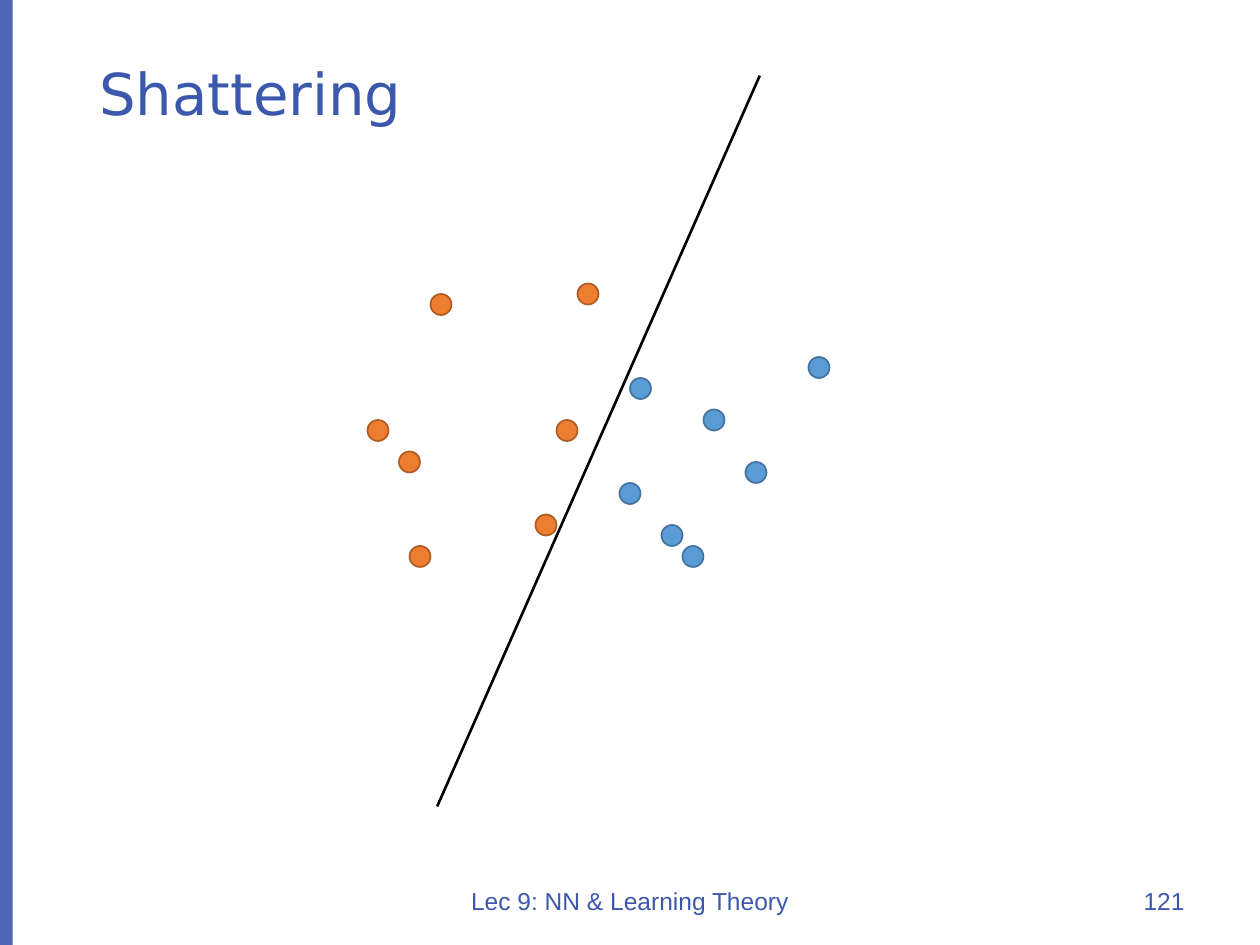
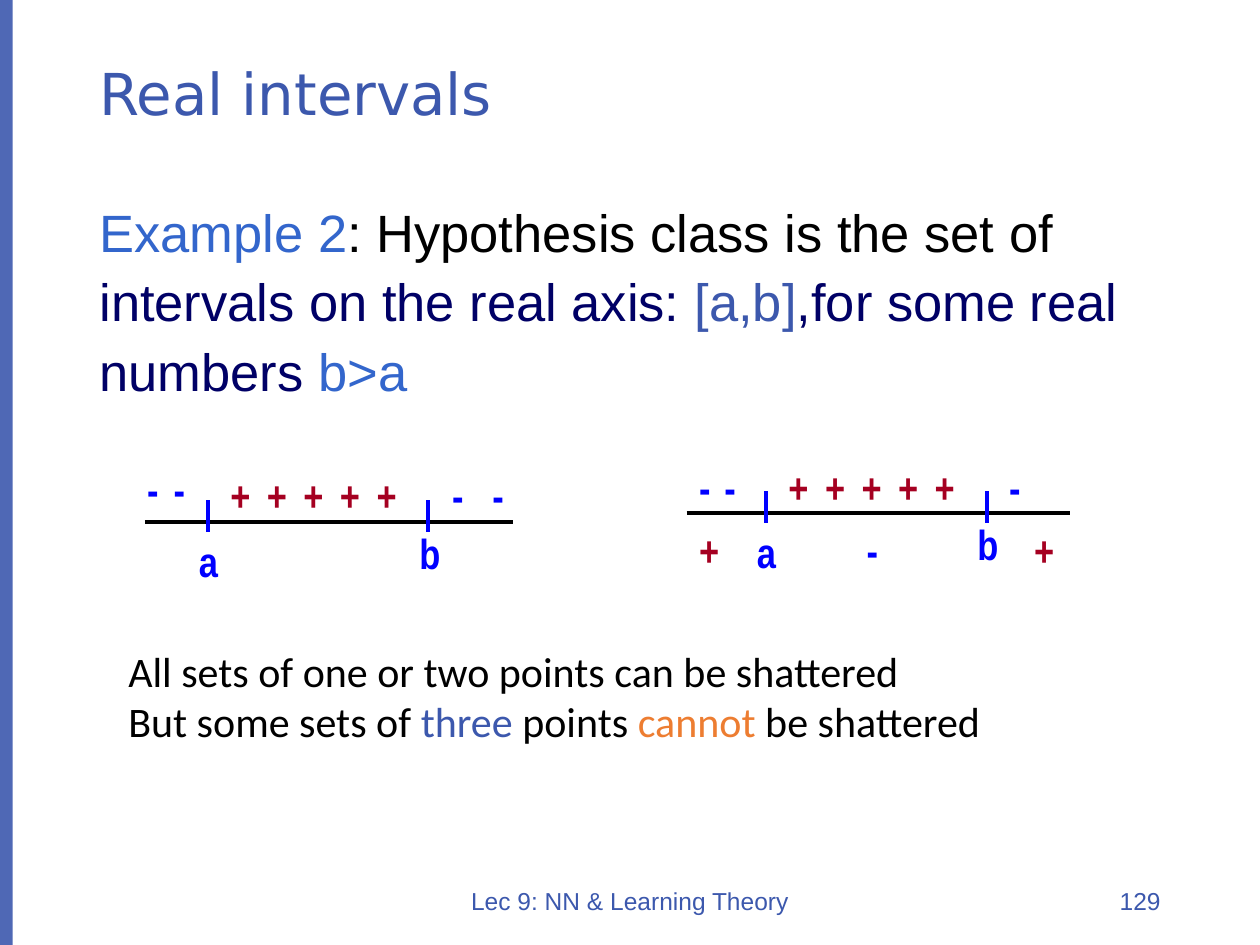
"""Builds two lecture slides on shattering and real intervals."""
from dataclasses import dataclass

from lxml import etree
from pptx import Presentation
from pptx.dml.color import RGBColor
from pptx.enum.shapes import MSO_CONNECTOR, MSO_SHAPE
from pptx.enum.text import MSO_ANCHOR, MSO_AUTO_SIZE, PP_ALIGN
from pptx.oxml.ns import qn
from pptx.util import Inches, Pt

STRAIGHT = MSO_CONNECTOR.STRAIGHT
RECTANGLE, OVAL = MSO_SHAPE.RECTANGLE, MSO_SHAPE.OVAL
TOP, MIDDLE = MSO_ANCHOR.TOP, MSO_ANCHOR.MIDDLE
GROW, FIXED = MSO_AUTO_SIZE.SHAPE_TO_FIT_TEXT, MSO_AUTO_SIZE.NONE
LEFT, CENTER, RIGHT = PP_ALIGN.LEFT, PP_ALIGN.CENTER, PP_ALIGN.RIGHT


@dataclass(frozen=True)
class Theme:
    """Colours, fonts and type sizes of the lecture."""
    accent: str = "3C58AD"
    black: str = "000000"
    example: str = "3366CC"
    navy: str = "000066"
    negative: str = "0000FF"
    positive: str = "A50021"
    orange: str = "ED7D31"
    orange_edge: str = "AF5C24"
    blue: str = "5B9BD5"
    blue_edge: str = "43739E"
    title_font: str = "DejaVu Sans"
    body_font: str = "Arial"
    mark_font: str = "Arial Narrow"
    note_font: str = "Calibri"
    title_size: int = 33
    body_size: int = 30
    mark_size: int = 24
    note_size: int = 24
    footer_size: int = 14


THEME = Theme()
GRID = 1 / 12
ORANGE_POINTS = [(39, 52), (41, 28), (38, 43), (35, 40), (51, 49), (53, 40), (55, 27)]
BLUE_POINTS = [(77, 34), (60, 36), (71, 44), (59, 46), (67, 39), (63, 50), (65, 52)]


class Deck:
    """Holds the presentation, its theme and the current slide."""

    def __init__(self, theme):
        """Open a 4:3 presentation."""
        self.theme = theme
        self.presentation = Presentation()
        self.presentation.slide_width = Inches(10)
        self.presentation.slide_height = Inches(7.5)
        self.slide = None

    def add_slide(self, title, number, number_left):
        """Start a slide with its side band, title and footer."""
        theme = self.theme
        layout = self.presentation.slide_layouts[6]
        self.slide = self.presentation.slides.add_slide(layout)
        self.shape(RECTANGLE, 0, 0, 0.1, 7.5, theme.accent, opacity=90)
        self.text((0.69, 0.4, 8.62, 0.74), [[(title, theme.accent)]],
                  theme.title_font, theme.title_size,
                  frame_format={"vertical_anchor": MIDDLE},
                  paragraph_format={"line_spacing": 0.9})
        footers = [("Lec 9: NN & Learning Theory", 3.31, 3.38, CENTER),
                   (number, number_left, 2.25, RIGHT)]
        for words, left, width, alignment in footers:
            self.text((left, 6.95, width, 0.4), [[(words, theme.accent)]],
                      theme.body_font, theme.footer_size,
                      frame_format={"vertical_anchor": MIDDLE},
                      paragraph_format={"alignment": alignment})

    def shape(self, kind, left, top, width, height, fill, edge=None, opacity=None):
        """Add a filled shape with an optional edge and opacity."""
        shape = self.slide.shapes.add_shape(
            kind, Inches(left), Inches(top), Inches(width), Inches(height))
        shape.shadow.inherit = False
        shape.fill.solid()
        shape.fill.fore_color.rgb = RGBColor.from_string(fill)
        if edge:
            shape.line.color.rgb = RGBColor.from_string(edge)
            shape.line.width = Pt(1)
        else:
            shape.line.fill.background()
        if opacity:
            color = shape.fill._xPr.find(".//" + qn("a:srgbClr"))
            etree.SubElement(color, qn("a:alpha"), val=str(opacity * 1000))

    def line(self, start, end, color, width):
        """Add a straight line between two points."""
        connector = self.slide.shapes.add_connector(
            STRAIGHT, *(Inches(value) for value in (*start, *end)))
        connector.line.color.rgb = RGBColor.from_string(color)
        connector.line.width = Pt(width)
        etree.SubElement(connector._element.spPr, qn("a:effectLst"))

    def text(self, box, paragraphs, font, size, bold=False,
             frame_format=None, paragraph_format=None):
        """Add a text box from paragraphs of (words, colour) runs."""
        shape = self.slide.shapes.add_textbox(*(Inches(value) for value in box))
        frame = shape.text_frame
        frame_values = {"word_wrap": True, "auto_size": FIXED,
                        "vertical_anchor": TOP, **(frame_format or {})}
        for name, value in frame_values.items():
            setattr(frame, name, value)
        paragraph_values = {"alignment": LEFT, **(paragraph_format or {})}
        font_values = {"name": font, "size": Pt(size), "bold": bold}
        for index, runs in enumerate(paragraphs):
            paragraph = frame.add_paragraph() if index else frame.paragraphs[0]
            for name, value in paragraph_values.items():
                setattr(paragraph, name, value)
            for words, color in runs:
                run = paragraph.add_run()
                run.text = words
                for name, value in font_values.items():
                    setattr(run.font, name, value)
                run.font.color.rgb = RGBColor.from_string(color)

    def mark(self, symbol, left, top):
        """Add one bold sign or letter of a number line."""
        theme = self.theme
        color = theme.positive if symbol == "+" else theme.negative
        width = {"-": 0.29, "b": 0.37}.get(symbol, 0.36)
        self.text((left, top, width, 0.5), [[(symbol, color)]],
                  theme.mark_font, theme.mark_size, bold=True,
                  frame_format={"word_wrap": False, "auto_size": GROW})

    def number_line(self, origin, axis, before, after, marks):
        """Draw an axis with interval [a,b]; marks are offsets from a."""
        theme = self.theme
        self.line((origin - before, axis), (origin + after, axis), theme.black, 2.25)
        for tick in (origin, origin + 1.75):
            self.line((tick, axis - 0.17), (tick, axis + 0.08), theme.negative, 2.25)
        interval = [("a", -0.17, 0.06), ("b", 1.58, 0)]
        pluses = [("+", 0.08 + 0.29 * index, -0.46) for index in range(5)]
        for symbol, across, down in interval + pluses + marks:
            self.mark(symbol, origin + across, axis + down)


def build_shattering(deck):
    """Build the slide with two separated groups of points."""
    theme = deck.theme
    deck.add_slide("Shattering", "121", 7.25)
    deck.line((3.47, 6.4), (6.03, 0.6), theme.black, 1.5)
    groups = [(ORANGE_POINTS, theme.orange, theme.orange_edge),
              (BLUE_POINTS, theme.blue, theme.blue_edge)]
    for points, fill, edge in groups:
        for column, row in points:
            deck.shape(OVAL, column * GRID, row * GRID, 2 * GRID, 2 * GRID, fill, edge)


def build_intervals(deck):
    """Build the slide with two labelled number lines."""
    theme = deck.theme
    deck.add_slide("Real intervals", "129", 7.06)
    deck.text((0.69, 1.49, 8.62, 5.27),
              [[("Example 2", theme.example),
                (": Hypothesis class is the set of ", theme.black),
                ("intervals on the real axis: ", theme.navy),
                ("[a,b]", theme.accent),
                (",for some real numbers ", theme.navy),
                ("b>a", theme.example)]],
              theme.body_font, theme.body_size,
              paragraph_format={"line_spacing": 1.1})
    deck.number_line(1.65, 4.14, 0.5, 2.42, [
        ("-", -0.58, -0.51), ("-", -0.37, -0.51),
        ("-", 1.84, -0.46), ("-", 2.16, -0.46)])
    deck.number_line(6.08, 4.07, 0.63, 2.41, [
        ("-", -0.63, -0.46), ("-", -0.43, -0.46), ("-", 1.83, -0.46),
        ("+", -0.63, 0.04), ("-", 0.7, 0.04), ("+", 2.03, 0.04)])
    deck.text((0.92, 5.07, 7.1, 0.91),
              [[("All sets of one or two points can be shattered", theme.black)],
               [("But some sets of ", theme.black), ("three ", theme.accent),
                ("points ", theme.black), ("cannot", theme.orange),
                (" be shattered", theme.black)]],
              theme.note_font, theme.note_size, frame_format={"auto_size": GROW})


def main():
    """Build and save the slides."""
    deck = Deck(THEME)
    build_shattering(deck)
    build_intervals(deck)
    deck.presentation.save("out.pptx")


if __name__ == "__main__":
    main()
